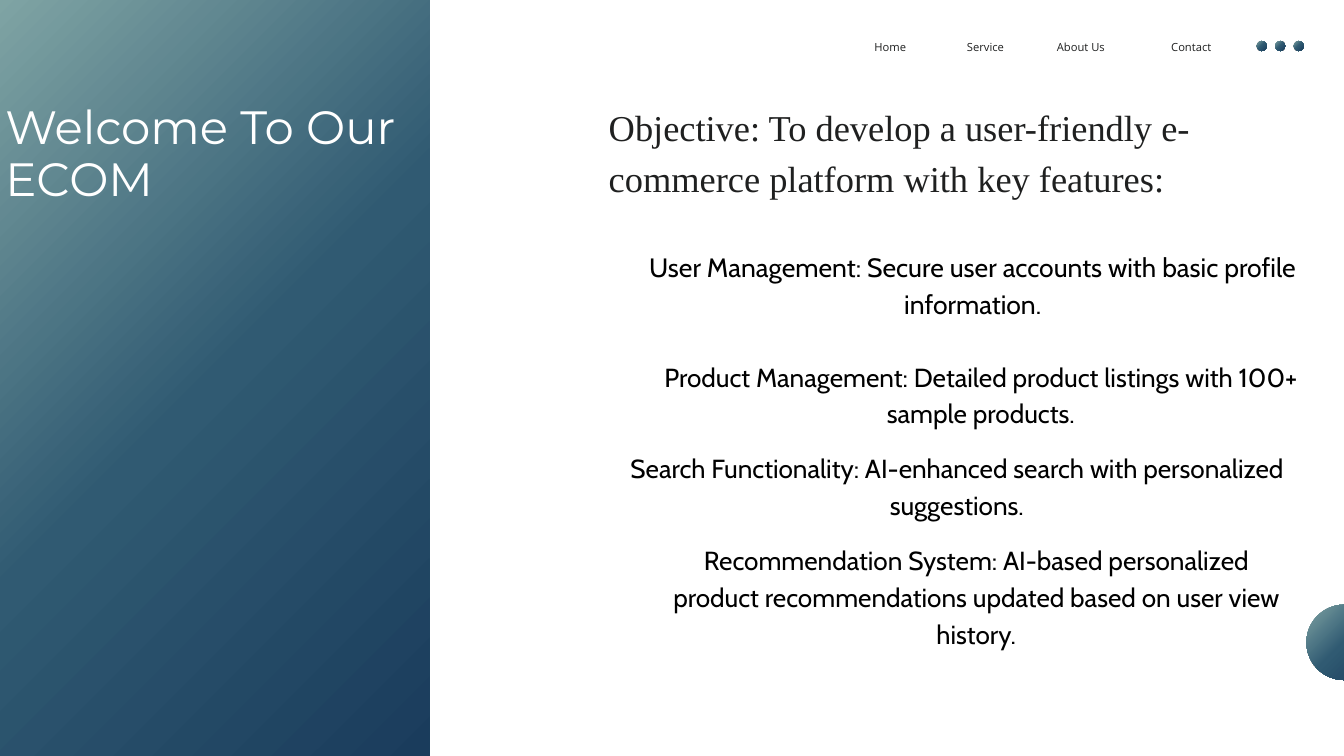
from pptx import Presentation
from pptx.dml.color import RGBColor
from pptx.enum.shapes import MSO_SHAPE
from pptx.enum.text import PP_ALIGN
from pptx.util import Cm, Pt
from copy import deepcopy

GRADIENT = ["7FA4A4", "305A72", "1A3C5C"]
INK = "1F2020"


def color(hex_string):
    return RGBColor.from_string(hex_string)


def add_text(text, left, top, width, height, size, font, hex_string,
             line_spacing, align=PP_ALIGN.LEFT):
    text_frame = slide.shapes.add_textbox(
        Cm(left), Cm(top), Cm(width), Cm(height)).text_frame
    text_frame.word_wrap = True
    text_frame.margin_left = text_frame.margin_right = 0
    text_frame.margin_top = text_frame.margin_bottom = 0
    text_frame.text = text
    paragraph = text_frame.paragraphs[0]
    paragraph.alignment = align
    paragraph.line_spacing = Pt(line_spacing)
    for run in paragraph.runs:
        run.font.size = Pt(size)
        run.font.name = font
        run.font.color.rgb = color(hex_string)
    return paragraph


presentation = Presentation()
presentation.slide_width = Cm(50.8)
presentation.slide_height = Cm(28.58)
slide = presentation.slides.add_slide(presentation.slide_layouts[6])

# Gradient shapes: edge circle, three menu dots, left panel
gradient_shapes = [(MSO_SHAPE.OVAL, 49.38, 22.86, 2.85, 2.85)]
gradient_shapes += [(MSO_SHAPE.OVAL, 47.5 + 0.7 * dot, 1.55, 0.38, 0.38)
                    for dot in range(3)]
gradient_shapes.append((MSO_SHAPE.RECTANGLE, 0, 0, 16.24, 28.58))
for kind, left, top, width, height in gradient_shapes:
    shape = slide.shapes.add_shape(
        kind, Cm(left), Cm(top), Cm(width), Cm(height))
    shape.shadow.inherit = False
    shape.line.fill.background()
    shape.fill.gradient()
    shape.fill.gradient_angle = 315
    first_stop = shape.fill._fill._gradFill.gsLst[0]
    first_stop.addnext(deepcopy(first_stop))
    for stop, position, hex_string in zip(
            shape.fill.gradient_stops, [0, 0.5, 1], GRADIENT):
        stop.position = position
        stop.color.rgb = color(hex_string)

# Navigation
for label, left, width in [("Contact", 44.27, 2.72), ("About Us", 39.95, 2.95),
                           ("Service", 36.55, 2.03), ("Home", 33.05, 2.26)]:
    add_text(label, left, 1.45, width, 0.56, 12, "Open Sans", INK, 16.8)

# Title and objective
add_text("Welcome To Our ECOM", 0.2, 3.84, 15.82, 3.96,
         50, "Montserrat", "FFFFFF", 56)
add_text("Objective: To develop a user-friendly e-commerce platform "
         "with key features:", 23.01, 3.71, 22.33, 3.96,
         39, "Times New Roman", INK, 54.6)

# Key features
features = [
    ("User Management: Secure user accounts with basic profile information.",
     23.6, 9.27, 26.34, 2.72, 28.4, 39.8),
    ("Product Management: Detailed product listings with 100+ sample products.",
     24.18, 13.46, 25.78, 2.72, 28, 39.2),
    ("Search Functionality: AI-enhanced search with personalized suggestions.",
     22.4, 16.92, 27.53, 2.72, 28, 39.2),
    ("Recommendation System: AI-based personalized\v"
     "product recommendations updated based on user view history.",
     24.43, 20.4, 24.94, 4.09, 28, 39.2),
]
for text, left, top, width, height, size, line_spacing in features:
    paragraph = add_text(text, left, top, width, height, size, "Cabin",
                         "000000", line_spacing, PP_ALIGN.CENTER)

# The first line of the last feature sits a little left of centre
paragraph._p.get_or_add_pPr().set("indent", str(Cm(-1.6)))

presentation.save("out.pptx")
